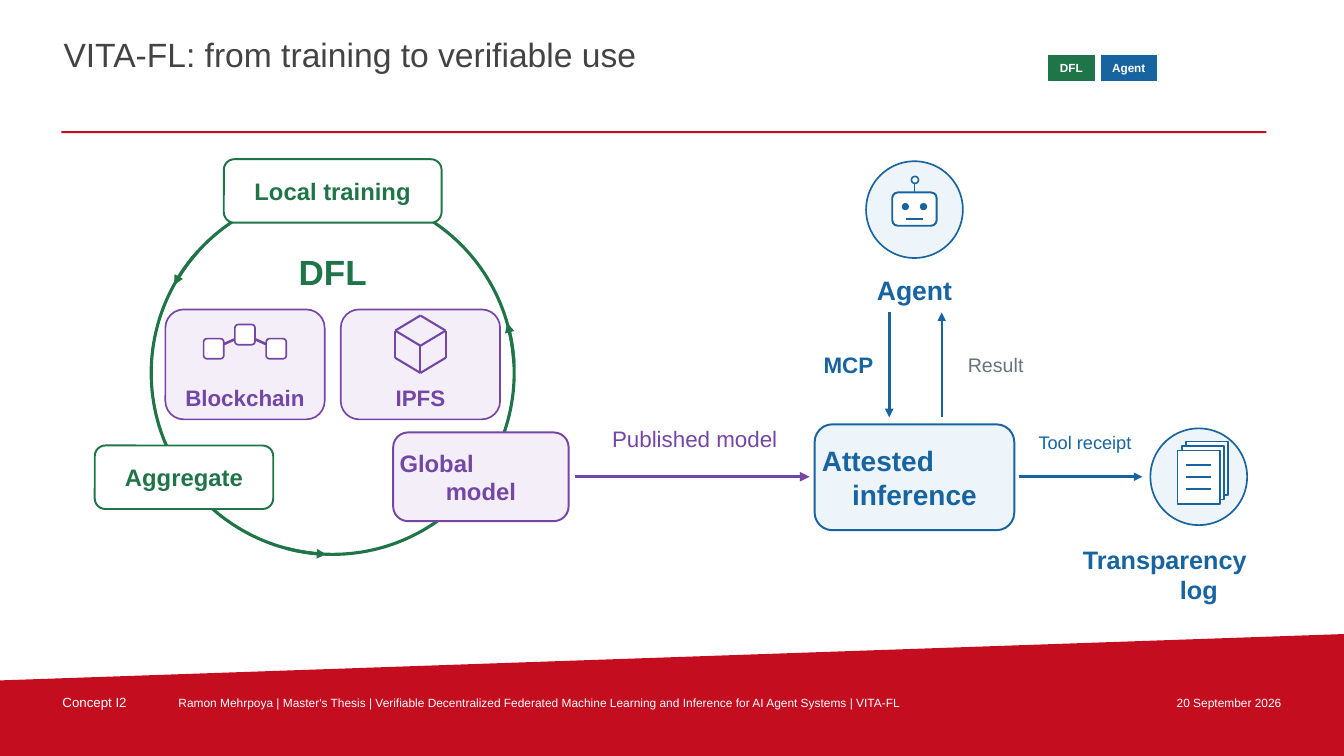
import math
import pptx
import pptx.util
import pptx.dml.color
import pptx.enum.shapes
import pptx.enum.text
import pptx.oxml.ns
import lxml.etree

Inches = pptx.util.Inches
Pt = pptx.util.Pt
KIND = pptx.enum.shapes.MSO_SHAPE
ALIGN = pptx.enum.text.PP_ALIGN
ANCHOR = pptx.enum.text.MSO_ANCHOR
THEME = {
    "font": "Arial",
    "color": {name: pptx.dml.color.RGBColor.from_string(code) for name, code in {
        "red": "C40D1E", "ink": "434343", "white": "FFFFFF", "grey": "67747C",
        "green": "207548", "blue": "1764A1", "ice": "EDF4FA",
        "purple": "7446A6", "lilac": "F3EEF8"}.items()},
    "size": {"title": 24, "footer": 8.5, "page": 9.5, "tag": 8.4, "ring": 25,
             "step": 17, "store": 16, "flow": 16, "result": 14, "receipt": 13,
             "inference": 20, "agent": 19, "log": 18},
}
COLOR = THEME["color"]


def add_box(kind, at, fill=None, line=None, width=1.4, text="", size=None,
            color=None, bold=True, align=ALIGN.CENTER, inset=0):
    at = [Inches(v) for v in at]
    if kind is None:
        sp = slide.shapes.add_textbox(*at)
    else:
        sp = slide.shapes.add_shape(kind, *at)
        sp.shadow.inherit = False
        sp.fill.solid()
        sp.fill.fore_color.rgb = COLOR[fill]
        if line:
            sp.line.color.rgb = COLOR[line]
            sp.line.width = Pt(width)
        else:
            sp.line.fill.background()
    if text:
        tf = sp.text_frame
        tf.word_wrap = True
        tf.vertical_anchor = ANCHOR.MIDDLE
        tf.margin_left = tf.margin_right = Inches(inset)
        tf.margin_top = tf.margin_bottom = 0
        tf.text = text
        for p in tf.paragraphs:
            p.alignment = align
            p.font.name = THEME["font"]
            p.font.size = Pt(THEME["size"][size])
            p.font.bold = bold
            p.font.color.rgb = COLOR[color]
        if len(tf.paragraphs) > 1:
            tf.paragraphs[0].alignment = ALIGN.LEFT


def add_line(points, color, width, arrow=False):
    qn = pptx.oxml.ns.qn
    for start, end in zip(points, points[1:]):
        sp = slide.shapes.add_connector(pptx.enum.shapes.MSO_CONNECTOR.STRAIGHT,
                                        *[Inches(v) for v in (*start, *end)])
        sp.line.color.rgb = COLOR[color]
        sp.line.width = Pt(width)
        props = sp._element.spPr
        if arrow and end == points[-1]:
            lxml.etree.SubElement(props.find(qn("a:ln")), qn("a:tailEnd"), type="triangle")
        lxml.etree.SubElement(props, qn("a:effectLst"))


prs = pptx.Presentation()
prs.slide_width, prs.slide_height = Inches(13.33), Inches(7.5)
slide = prs.slides.add_slide(prs.slide_layouts[5])

title = slide.shapes.title
title.left, title.top, title.width, title.height = [Inches(v) for v in (0.61, 0.32, 9.65, 0.62)]
tf = title.text_frame
tf.text = "VITA-FL: from training to verifiable use"
tf.vertical_anchor = ANCHOR.TOP
tf.auto_size = pptx.enum.text.MSO_AUTO_SIZE.NONE
tf.margin_left = tf.margin_right = tf.margin_top = tf.margin_bottom = Inches(0.02)
p = tf.paragraphs[0]
p.alignment = ALIGN.LEFT
p.font.name = THEME["font"]
p.font.size = Pt(THEME["size"]["title"])
p.font.color.rgb = COLOR["ink"]
add_box(KIND.RECTANGLE, (0.61, 1.3, 11.95, 0.02), "red")

corners = [(Inches(x), Inches(y)) for x, y in [(0, 6.75), (13.33, 6.29), (13.33, 7.5), (0, 7.5)]]
fb = slide.shapes.build_freeform(*corners[0])
fb.add_line_segments(corners[1:])
band = fb.convert_to_shape()
band.shadow.inherit = False
band.fill.solid()
band.fill.fore_color.rgb = COLOR["red"]
band.line.fill.background()

for left, width, text, size, align in [
    (0.6, 1, "Concept I2", "page", ALIGN.LEFT),
    (1.75, 9.35, "Ramon Mehrpoya | Master's Thesis | Verifiable Decentralized Federated "
     "Machine Learning and Inference for AI Agent Systems | VITA-FL", "footer", ALIGN.LEFT),
    (11.2, 1.53, "20 September 2026", "footer", ALIGN.RIGHT),
]:
    add_box(None, (left, 6.86, width, 0.22), text=text, size=size, color="white",
            bold=False, align=align, inset=0.02)

for left, width, text, color in [(10.4, 0.45, "DFL", "green"), (10.92, 0.55, "Agent", "blue")]:
    add_box(KIND.RECTANGLE, (left, 0.55, width, 0.25), color, color, 0.55, text, "tag", "white")

cx, cy, radius = 3.3, 3.7, 1.8
add_box(KIND.OVAL, (cx - radius, cy - radius, 2 * radius, 2 * radius), "white", "green", 2.25)
for start in (222, 105, -3):
    angles = [math.radians(start - 13 * i / 8) for i in range(9)]
    add_line([(cx + radius * math.cos(a), cy + radius * math.sin(a)) for a in angles],
             "green", 2.3, arrow=True)

for at, fill, color, text, size in [
    ((2.22, 1.58, 2.16, 0.63), "white", "green", "Local training", "step"),
    ((0.94, 4.42, 1.77, 0.63), "white", "green", "Aggregate", "step"),
    ((3.9, 4.29, 1.74, 0.88), "lilac", "purple", "Global\nmodel", "step"),
    ((8.08, 4.21, 1.98, 1.05), "ice", "blue", "Attested\ninference", "inference"),
]:
    add_box(KIND.ROUNDED_RECTANGLE, at, fill, color, 1.4, text, size, color, inset=0.02)

for left, text in [(1.64, "Blockchain"), (3.38, "IPFS")]:
    add_box(KIND.ROUNDED_RECTANGLE, (left, 3.07, 1.58, 1.09), "lilac", "purple", 1.2)
    add_box(None, (left + 0.04, 3.79, 1.5, 0.3), text=text, size="store", color="purple")

blocks = [(2.12, 3.46), (2.43, 3.32), (2.74, 3.46)]
add_line(blocks, "purple", 1.8)
for x, y in blocks:
    add_box(KIND.ROUNDED_RECTANGLE, (x - 0.1, y - 0.1, 0.2, 0.2), "white", "purple", 1.2)

cube = [(4.17, 3.13), (4.42, 3.28), (4.42, 3.55), (4.17, 3.7), (3.92, 3.55), (3.92, 3.28)]
front = (4.17, 3.43)
add_line(cube + cube[:1], "purple", 1.5)
add_line([cube[5], front, cube[1]], "purple", 1.5)
add_line([front, cube[3]], "purple", 1.5)

for start, end, color, width in [
    ((5.7, 4.73), (8.03, 4.73), "purple", 2.3),
    ((8.82, 3.1), (8.82, 4.14), "blue", 2.05),
    ((9.34, 4.14), (9.34, 3.1), "blue", 1.5),
    ((10.11, 4.73), (11.33, 4.73), "blue", 2.05),
]:
    add_line([start, end], color, width, arrow=True)

for at, text, size, color, bold in [
    ((2.65, 2.47, 1.3, 0.45), "DFL", "ring", "green", True),
    ((5.85, 4.17, 2.08, 0.36), "Published model", "flow", "purple", False),
    ((7.92, 2.69, 2.3, 0.38), "Agent", "agent", "blue", True),
    ((8.09, 3.47, 0.65, 0.3), "MCP", "flow", "blue", True),
    ((9.48, 3.47, 0.79, 0.3), "Result", "result", "grey", False),
    ((10.15, 4.22, 1.22, 0.33), "Tool receipt", "receipt", "blue", False),
    ((10.74, 5.34, 2.3, 0.72), "Transparency\nlog", "log", "blue", True),
]:
    add_box(None, at, text=text, size=size, color=color, bold=bold)

for left, top in [(8.59, 1.6), (11.41, 4.25)]:
    add_box(KIND.OVAL, (left, top, 0.96, 0.96), "ice", "blue", 1.2)

add_box(KIND.ROUNDED_RECTANGLE, (8.85, 1.91, 0.44, 0.33), "white", "blue", 1.4)
for x in (8.95, 9.13):
    add_box(KIND.OVAL, (x, 2.02, 0.06, 0.06), "blue", "blue", 0.8)
add_line([(8.99, 2.17), (9.15, 2.17)], "blue", 1.2)
add_line([(9.07, 1.91), (9.07, 1.82)], "blue", 1.2)
add_box(KIND.OVAL, (9.04, 1.75, 0.07, 0.07), "white", "blue", 1.1)

for i in range(3):
    add_box(KIND.RECTANGLE, (11.76 - 0.04 * i, 4.38 + 0.045 * i, 0.42, 0.53), "white", "blue", 1.2)
for i in range(3):
    y = 4.61 + 0.12 * i
    add_line([(11.76, y), (12.01, y)], "blue", 1.2)

prs.save("out.pptx")
